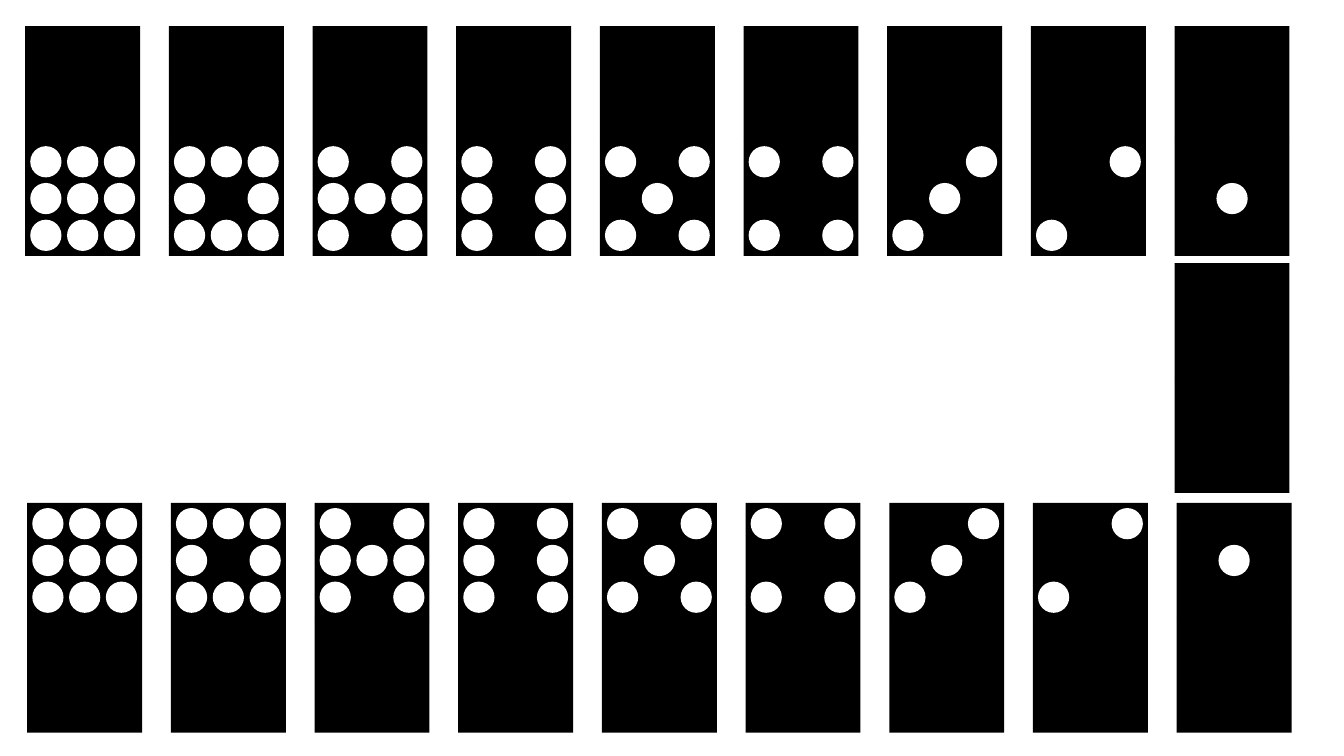
from pptx import Presentation
from pptx.dml.color import RGBColor
from pptx.enum.shapes import MSO_SHAPE
from pptx.util import Inches

RECT = MSO_SHAPE.RECTANGLE
OVAL = MSO_SHAPE.OVAL
BLACK = "000000"
WHITE = "FFFFFF"

HALF = 1.14
PIP = 0.31
EDGE = 0.05
STEP = (HALF - 2 * EDGE - PIP) / 2

LEFT = 0.25
LAST = 11.65
SHIFT = 0.02
TOP = 0.26
MID = 2.61
LOW = 4.99

FACES = [
    ("ooo", "ooo", "ooo"),
    ("ooo", "o.o", "ooo"),
    ("o.o", "ooo", "o.o"),
    ("o.o", "o.o", "o.o"),
    ("o.o", ".o.", "o.o"),
    ("o.o", "...", "o.o"),
    ("..o", ".o.", "o.."),
    ("..o", "...", "o.."),
    ("...", ".o.", "..."),
]
PITCH = (LAST - LEFT) / (len(FACES) - 1)


def color(fill, value):
    fill.solid()
    fill.fore_color.rgb = RGBColor.from_string(value)


def add_form(group, kind, left, top, size, value):
    form = group.shapes.add_shape(
        kind, Inches(left), Inches(top), Inches(size), Inches(size)
    )
    form.shadow.inherit = False
    color(form.fill, value)
    form.line.fill.background()


def add_pips(group, left, top, face):
    for row, marks in enumerate(face):
        for col, mark in enumerate(marks):
            if mark == "o":
                x = left + EDGE + col * STEP
                y = top + EDGE + row * STEP
                add_form(group, OVAL, x, y, PIP, WHITE)


def add_tile(slide, left, top, upper=(), lower=()):
    group = slide.shapes.add_group_shape()
    halves = [(top, upper), (top + HALF, lower)]
    for y, _ in halves:
        add_form(group, RECT, left, y, HALF, BLACK)
    for y, face in halves:
        add_pips(group, left, y, face)


def main():
    deck = Presentation()
    deck.slide_width = Inches(13.33)
    deck.slide_height = Inches(7.5)
    slide = deck.slides.add_slide(deck.slide_layouts[6])
    color(slide.background.fill, WHITE)

    for index, face in enumerate(FACES):
        add_tile(slide, LEFT + index * PITCH, TOP, lower=face)
    add_tile(slide, LAST, MID)
    for index, face in enumerate(FACES):
        add_tile(slide, LEFT + SHIFT + index * PITCH, LOW, upper=face)

    deck.save("out.pptx")


if __name__ == "__main__":
    main()
